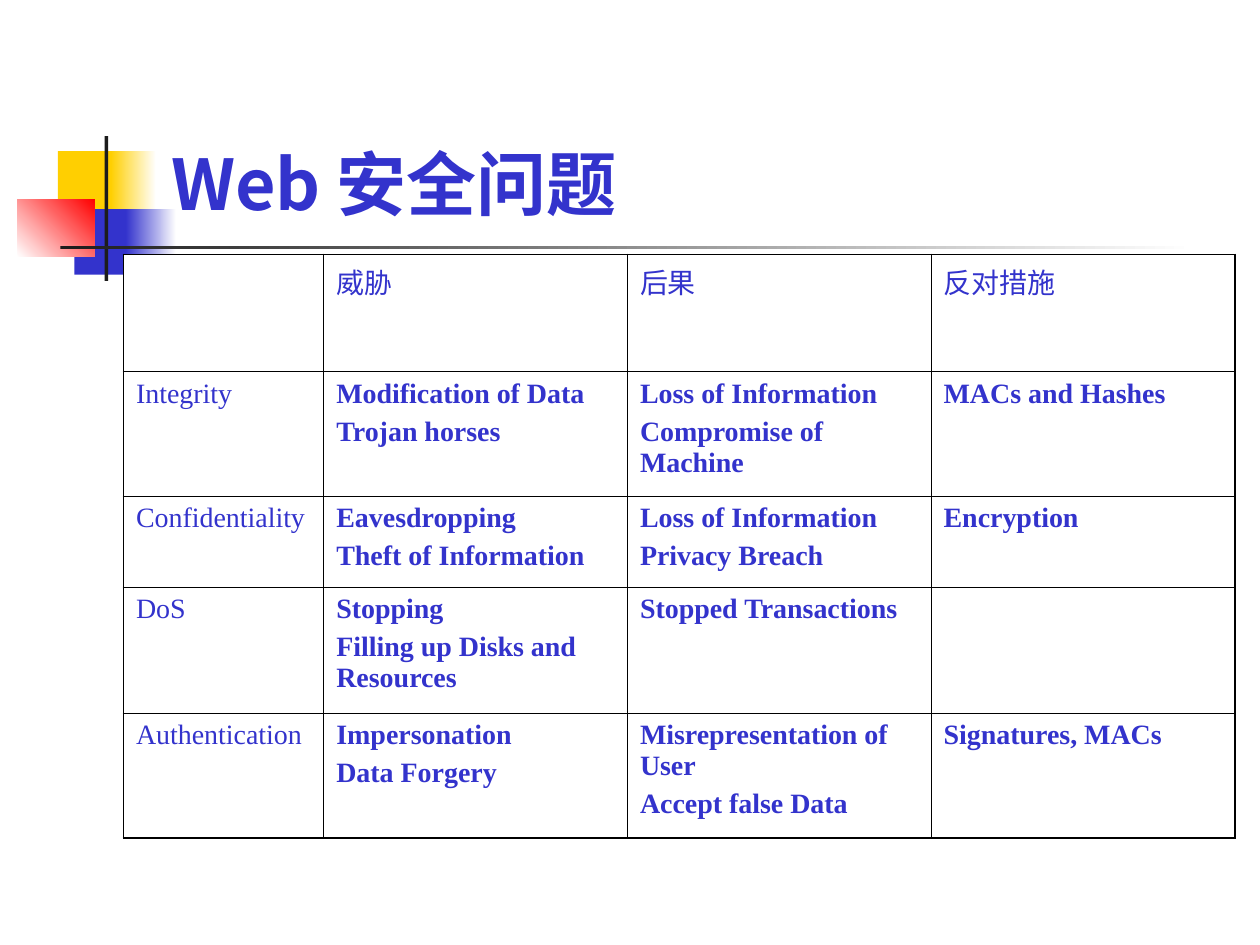
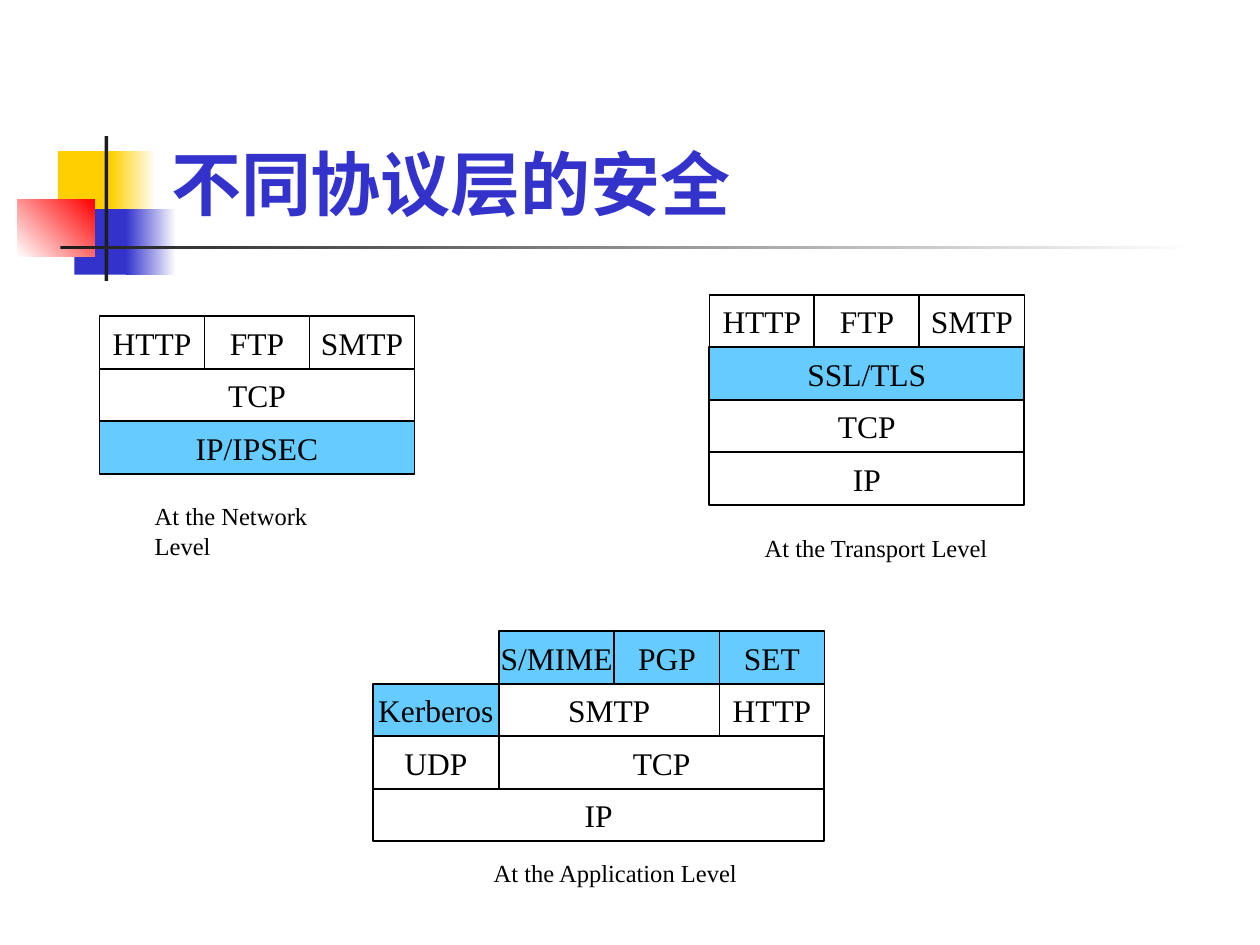
from dataclasses import dataclass

from lxml.etree import SubElement
from pptx import Presentation
from pptx.dml.color import RGBColor as Rgb
from pptx.enum.shapes import MSO_SHAPE as Shape
from pptx.enum.text import MSO_ANCHOR as Anchor, MSO_AUTO_SIZE as Fit, PP_ALIGN as Align
from pptx.oxml.ns import qn
from pptx.util import Inches, Pt


@dataclass(frozen=True)
class Theme:
    blue: str = "3333CC"
    gold: str = "FFCF01"
    red: str = "FF0000"
    dark: str = "1C1C1C"
    white: str = "FFFFFF"
    black: str = "000000"
    sky: str = "66CCFF"
    latin: str = "Times New Roman"
    asian: str = "Noto Sans CJK SC"
    title: int = 40
    block: int = 18
    cell: int = 16
    note: int = 14
    thick: float = 1.08
    thin: float = 0.45


T = Theme()
UNIT = 1 / 12  # grid step of the protocol stacks, in inches
ROW = 5        # height of one protocol layer, in grid steps

HEADS = ["", "威胁", "后果", "反对措施"]
RISKS = [
    ["Integrity", "Modification of Data\nTrojan horses",
     "Loss of Information\nCompromise of Machine", "MACs and Hashes"],
    ["Confidentiality", "Eavesdropping\nTheft of Information",
     "Loss of Information\nPrivacy Breach", "Encryption"],
    ["DoS", "Stopping\nFilling up Disks and Resources", "Stopped Transactions", ""],
    ["Authentication", "Impersonation\nData Forgery",
     "Misrepresentation of User\nAccept false Data", "Signatures, MACs"],
]

# Each layer lists (label, width in grid steps); an empty label leaves a gap.
APPS = [("HTTP", 10), ("FTP", 10), ("SMTP", 10)]
NET = [APPS, [("TCP", 30)], [("IP/IPSEC", 30)]]
TRANS = [APPS, [("SSL/TLS", 30)], [("TCP", 30)], [("IP", 30)]]
APPL = [
    [("", 12), ("S/MIME", 11), ("PGP", 10), ("SET", 10)],
    [("Kerberos", 12), ("SMTP", 21), ("HTTP", 10)],
    [("UDP", 12), ("TCP", 31)],
    [("IP", 43)],
]
SECURE = {"IP/IPSEC", "SSL/TLS", "S/MIME", "PGP", "SET", "Kerberos"}


def color(code):
    return Rgb.from_string(code)


def place(box):
    return [Inches(n) for n in box]


def write(para, text, size, tint, bold=False, latin=T.latin):
    run = para.add_run()
    run.text = text
    font = run.font
    font.size, font.bold, font.name = Pt(size), bold, latin
    font.color.rgb = color(tint)
    SubElement(run._r.get_or_add_rPr(), qn("a:ea")).set("typeface", T.asian)


def rect(slide, box):
    shape = slide.shapes.add_shape(Shape.RECTANGLE, *place(box))
    shape.shadow.inherit = False
    shape.line.fill.background()
    return shape


def paint(slide, box, start, end=None, angle=0):
    """Draw a plain bar, or one that fades from start to end."""
    fill = rect(slide, box).fill
    if end is None:
        fill.solid()
        fill.fore_color.rgb = color(start)
        return
    fill.gradient()
    fill.gradient_angle = angle
    for stop, code in zip(fill.gradient_stops, (start, end)):
        stop.color.rgb = color(code)


def emblem(slide, left, top):
    def bar(x, y, wide, high, *look):
        paint(slide, (left + x, top + y, wide, high), *look)

    bar(0.32, 0.12, 0.48, 0.52, T.gold)
    bar(0.74, 0.12, 0.36, 0.52, T.gold, T.white)
    bar(0.45, 0.58, 0.46, 0.52, T.blue)
    bar(0.86, 0.58, 0.4, 0.52, T.blue, T.white)
    bar(0, 0.5, 0.61, 0.46, T.white, T.red, 45)
    bar(0.69, 0, 0.03, 1.15, T.dark)
    bar(0.34, 0.87, 9, 0.03, T.dark, T.white)


def label(slide, box, wrap):
    frame = slide.shapes.add_textbox(*place(box)).text_frame
    frame.word_wrap = wrap
    return frame


def start(deck, title):
    """Add a slide with the shared emblem and title."""
    slide = deck.slides.add_slide(deck.slide_layouts[6])
    emblem(slide, 0.14, 1.08)
    frame = label(slide, (1.26, 0.23, 8.52, 1.6), True)
    frame.vertical_anchor = Anchor.BOTTOM
    write(frame.paragraphs[0], title, T.title, T.blue, True, T.asian)
    return slide


def border(cell, edges):
    """Line the cell; edges maps each side to whether it is an outer one."""
    props = cell._tc.get_or_add_tcPr()
    for side, outer in edges.items():
        line = SubElement(props, qn(f"a:ln{side}"))
        line.set("w", str(Pt(T.thick if outer else T.thin)))
        fill = SubElement(line, qn("a:solidFill"))
        SubElement(fill, qn("a:srgbClr")).set("val", T.black)


def matrix(slide, box, rows, wides, highs):
    table = slide.shapes.add_table(len(rows), len(wides), *place(box)).table
    table.first_row = table.horz_banding = False
    for col, wide in zip(table.columns, wides):
        col.width = Inches(wide)
    for line, high in zip(table.rows, highs):
        line.height = Inches(high)
    for r, row in enumerate(rows):
        for c, text in enumerate(row):
            cell = table.cell(r, c)
            border(cell, {"L": c == 0, "R": c == len(wides) - 1,
                          "T": r == 0, "B": r == len(rows) - 1})
            cell.fill.solid()
            cell.fill.fore_color.rgb = color(T.white)
            frame = cell.text_frame
            for i, part in enumerate(text.split("\n") if text else []):
                para = frame.add_paragraph() if i else frame.paragraphs[0]
                if i:
                    para.space_before = Pt(4)
                write(para, part, T.cell, T.blue, r > 0 and c > 0)


def block(slide, box, text):
    shape = rect(slide, box)
    if text in SECURE:
        shape.fill.solid()
        shape.fill.fore_color.rgb = color(T.sky)
    else:
        shape.fill.background()
    shape.line.color.rgb = color(T.black)
    shape.line.width = Pt(1)
    frame = shape.text_frame
    frame.word_wrap = False
    frame.vertical_anchor = Anchor.MIDDLE
    para = frame.paragraphs[0]
    para.alignment = Align.CENTER
    write(para, text, T.block, T.black)


def stack(slide, left, top, layers, note, spot):
    """Pile up protocol layers; spot is the note's box from the stack's corner."""
    for r, layer in enumerate(layers):
        x = 0
        for text, wide in layer:
            if text:
                block(slide, (left + x * UNIT, top + r * ROW * UNIT,
                              wide * UNIT, ROW * UNIT), text)
            x += wide
    dx, dy, wide = spot
    frame = label(slide, (left + dx, top + dy, wide, 0.34), False)
    frame.auto_size = Fit.SHAPE_TO_FIT_TEXT
    write(frame.paragraphs[0], note, T.note, T.black)


def threats(deck):
    slide = start(deck, "Web 安全问题")
    matrix(slide, (0.98, 2.02, 8.82, 4.63), [HEADS] + RISKS,
           [1.59] + [2.41] * 3, [0.93, 0.99, 0.72, 1, 0.99])


def levels(deck):
    slide = start(deck, "不同协议层的安全")
    stack(slide, 0.79, 2.51, NET, "At the Network Level", (0.34, 1.42, 1.9))
    stack(slide, 5.63, 2.34, TRANS, "At the Transport Level", (0.34, 1.84, 1.98))
    stack(slide, 2.96, 5.01, APPL, "At the Application Level", (0.86, 1.75, 2.14))


def main():
    deck = Presentation()
    deck.slide_width, deck.slide_height = Inches(10), Inches(7.5)
    threats(deck)
    levels(deck)
    deck.save("out.pptx")


if __name__ == "__main__":
    main()
